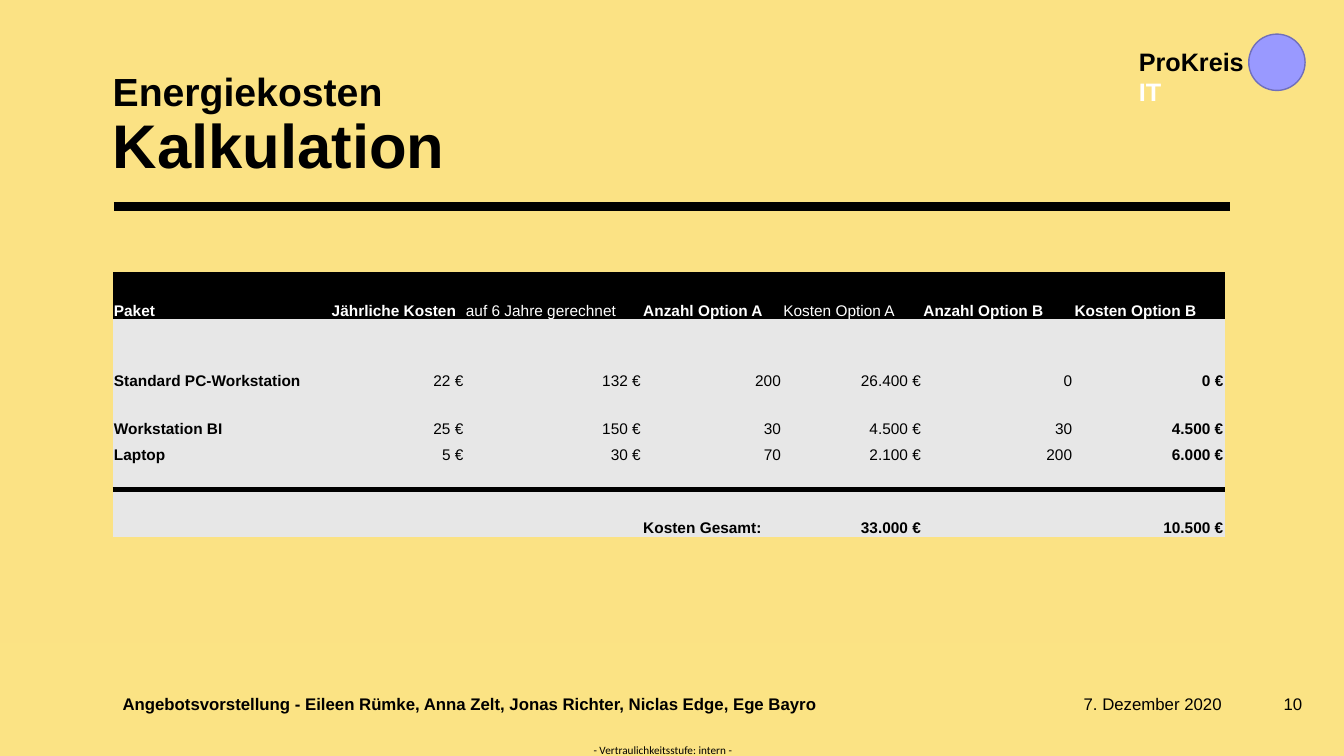
from dataclasses import dataclass

from lxml import etree
from pptx import Presentation
from pptx.dml.color import RGBColor
from pptx.enum import shapes, text
from pptx.oxml.ns import qn
from pptx.util import Cm, Pt


@dataclass(frozen=True)
class Theme:
    background: str = "FBE384"
    panel: str = "FBE284"
    ink: str = "000000"
    paper: str = "FFFFFF"
    cell: str = "E7E7E7"
    badge: str = "9999FF"
    badge_edge: str = "706FBB"
    font: str = "Arial"
    label_font: str = "Calibri"
    topic: int = 28
    heading: int = 44
    brand: int = 18
    footer: int = 12
    table: int = 11
    label: int = 8


@dataclass(frozen=True)
class Span:
    words: str
    size: int
    bold: bool = False
    color: str = "000000"
    font: str = "Arial"


@dataclass(frozen=True)
class Label:
    """A text box; lengths in cm."""
    left: float
    top: float
    width: float
    height: float
    spans: tuple[Span, ...]
    align: text.PP_ALIGN = text.PP_ALIGN.LEFT
    anchor: text.MSO_ANCHOR = text.MSO_ANCHOR.MIDDLE
    inset_x: float = 0.25
    inset_y: float = 0.13


THEME = Theme()
LABELS = (
    Label(14.91, 18.72, 3.66, 0.33,
          (Span("- Vertraulichkeitsstufe: intern - ", THEME.label, font=THEME.label_font),),
          text.PP_ALIGN.CENTER, text.MSO_ANCHOR.TOP, 0, 0),
    Label(27.31, 17.48, 4.24, 0.51, (Span("7. Dezember 2020", THEME.footer),), inset_x=0),
    Label(2.84, 17.48, 24.26, 0.51,
          (Span("Angebotsvorstellung - Eileen Rümke, Anna Zelt, Jonas Richter, "
                "Niclas Edge, Ege Bayro", THEME.footer, True),)),
    Label(31.93, 17.48, 1.14, 0.51, (Span("10", THEME.footer),), text.PP_ALIGN.RIGHT),
    Label(28.45, 1.04, 3.99, 1.02,
          (Span("ProKreis ", THEME.brand, True),
           Span(" IT", THEME.brand, True, THEME.paper)),
          anchor=text.MSO_ANCHOR.TOP),
)
COLUMN_WIDTHS = (5.49, 3.38, 4.47, 3.53, 3.53, 3.81, 3.81)
ROW_HEIGHTS = (1.19, 1.78, 1.19, 0.66, 0.66, 1.19)
COSTS = (
    ("Paket", "Jährliche Kosten", "auf 6 Jahre gerechnet", "Anzahl Option A",
     "Kosten Option A", "Anzahl Option B", "Kosten Option B"),
    ("Standard PC-Workstation", "22 €", "132 €", "200", "26.400 €", "0", "0 €"),
    ("Workstation BI", "25 €", "150 €", "30", "4.500 €", "30", "4.500 €"),
    ("Laptop", "5 €", "30 €", "70", "2.100 €", "200", "6.000 €"),
    ("",) * 7,
    ("", "", "", "Kosten Gesamt:", "33.000 €", "", "10.500 €"),
)
TOTAL_ROW = len(COSTS) - 1
LIGHT_HEADERS = (2, 4)
BOLD_COLUMNS = (0, 6)
PLAIN_TABLE_STYLE = "{2D5ABB26-0587-4C30-8999-92F81FD0307C}"


def rgb(color: str) -> RGBColor:
    return RGBColor.from_string(color)


def fill_solid(fill, color: str) -> None:
    fill.solid()
    fill.fore_color.rgb = rgb(color)


def add_span(paragraph, span: Span) -> None:
    run = paragraph.add_run()
    run.text = span.words
    run.font.name = span.font
    run.font.size = Pt(span.size)
    run.font.bold = span.bold
    run.font.color.rgb = rgb(span.color)


def add_label(slide, label: Label) -> None:
    box = slide.shapes.add_textbox(Cm(label.left), Cm(label.top), Cm(label.width), Cm(label.height))
    frame = box.text_frame
    frame.word_wrap = True
    frame.vertical_anchor = label.anchor
    frame.margin_left = frame.margin_right = Cm(label.inset_x)
    frame.margin_top = frame.margin_bottom = Cm(label.inset_y)
    paragraph = frame.paragraphs[0]
    paragraph.alignment = label.align
    for span in label.spans:
        add_span(paragraph, span)


def add_backdrop(slide) -> None:
    fill_solid(slide.background.fill, THEME.background)
    panel = slide.shapes.add_shape(shapes.MSO_SHAPE.RECTANGLE, 0, 0, Cm(30.99), Cm(16.18))
    panel.shadow.inherit = False
    fill_solid(panel.fill, THEME.panel)
    panel.line.fill.background()
    rule = slide.shapes.add_connector(
        shapes.MSO_CONNECTOR.STRAIGHT, Cm(2.87), Cm(5.2), Cm(30.99), Cm(5.2))
    rule.line.color.rgb = rgb(THEME.ink)
    rule.line.width = Pt(6)
    etree.SubElement(rule.element.spPr, qn("a:effectLst"))


def format_title(slide) -> None:
    title = slide.shapes.title
    slide.shapes.element.append(title.element)  # bring in front of the panel
    title.left, title.top, title.width, title.height = Cm(2.84), Cm(2.77), Cm(28.04), Cm(1.8)
    frame = title.text_frame
    frame.auto_size = text.MSO_AUTO_SIZE.NONE
    frame.word_wrap = True
    frame.vertical_anchor = text.MSO_ANCHOR.BOTTOM
    frame.margin_left = frame.margin_right = frame.margin_top = frame.margin_bottom = 0
    paragraph = frame.paragraphs[0]
    paragraph.alignment = text.PP_ALIGN.LEFT
    paragraph.line_spacing = 0.9
    add_span(paragraph, Span("Energiekosten", THEME.topic, True))
    paragraph.add_line_break()
    add_span(paragraph, Span("Kalkulation", THEME.heading, True))


def add_badge(slide) -> None:
    badge = slide.shapes.add_shape(shapes.MSO_SHAPE.OVAL, Cm(31.47), Cm(0.86), Cm(1.42), Cm(1.42))
    badge.shadow.inherit = False
    fill_solid(badge.fill, THEME.badge)
    badge.line.color.rgb = rgb(THEME.badge_edge)
    badge.line.width = Pt(1)


def add_top_border(cell) -> None:
    border = etree.Element(qn("a:lnT"), w=str(Pt(4)))
    solid = etree.SubElement(border, qn("a:solidFill"))
    etree.SubElement(solid, qn("a:srgbClr"), val=THEME.ink)
    cell._tc.get_or_add_tcPr().insert(0, border)


def format_cell(cell, words: str, row: int, column: int) -> None:
    header = row == 0
    cell.margin_left = cell.margin_right = cell.margin_top = Cm(0.03)
    cell.margin_bottom = 0
    cell.vertical_anchor = text.MSO_ANCHOR.BOTTOM
    fill_solid(cell.fill, THEME.ink if header else THEME.cell)
    if row == TOTAL_ROW:
        add_top_border(cell)
    paragraph = cell.text_frame.paragraphs[0]
    if not words:
        etree.SubElement(paragraph._p, qn("a:endParaRPr"), sz=str(THEME.table * 100))
        return
    is_number = words[0].isdigit()
    paragraph.alignment = text.PP_ALIGN.RIGHT if is_number else text.PP_ALIGN.LEFT
    bold = column not in LIGHT_HEADERS if header else row == TOTAL_ROW or column in BOLD_COLUMNS
    add_span(paragraph, Span(words, THEME.table, bold, THEME.paper if header else THEME.ink))


def add_cost_table(slide) -> None:
    frame = slide.shapes.add_table(
        len(ROW_HEIGHTS), len(COLUMN_WIDTHS), Cm(2.84), Cm(6.86),
        Cm(sum(COLUMN_WIDTHS)), Cm(sum(ROW_HEIGHTS)))
    costs = frame.table
    costs.first_row = costs.horz_banding = False
    costs._tbl.tblPr.find(qn("a:tableStyleId")).text = PLAIN_TABLE_STYLE
    for column, width in zip(costs.columns, COLUMN_WIDTHS):
        column.width = Cm(width)
    for row, height in zip(costs.rows, ROW_HEIGHTS):
        row.height = Cm(height)
    for r, entries in enumerate(COSTS):
        for c, words in enumerate(entries):
            format_cell(costs.cell(r, c), words, r, c)


def main() -> None:
    deck = Presentation()
    deck.slide_width, deck.slide_height = Cm(33.87), Cm(19.05)
    slide = deck.slides.add_slide(deck.slide_layouts[5])
    add_backdrop(slide)
    format_title(slide)
    add_badge(slide)
    for label in LABELS:
        add_label(slide, label)
    add_cost_table(slide)
    deck.save("out.pptx")


if __name__ == "__main__":
    main()
